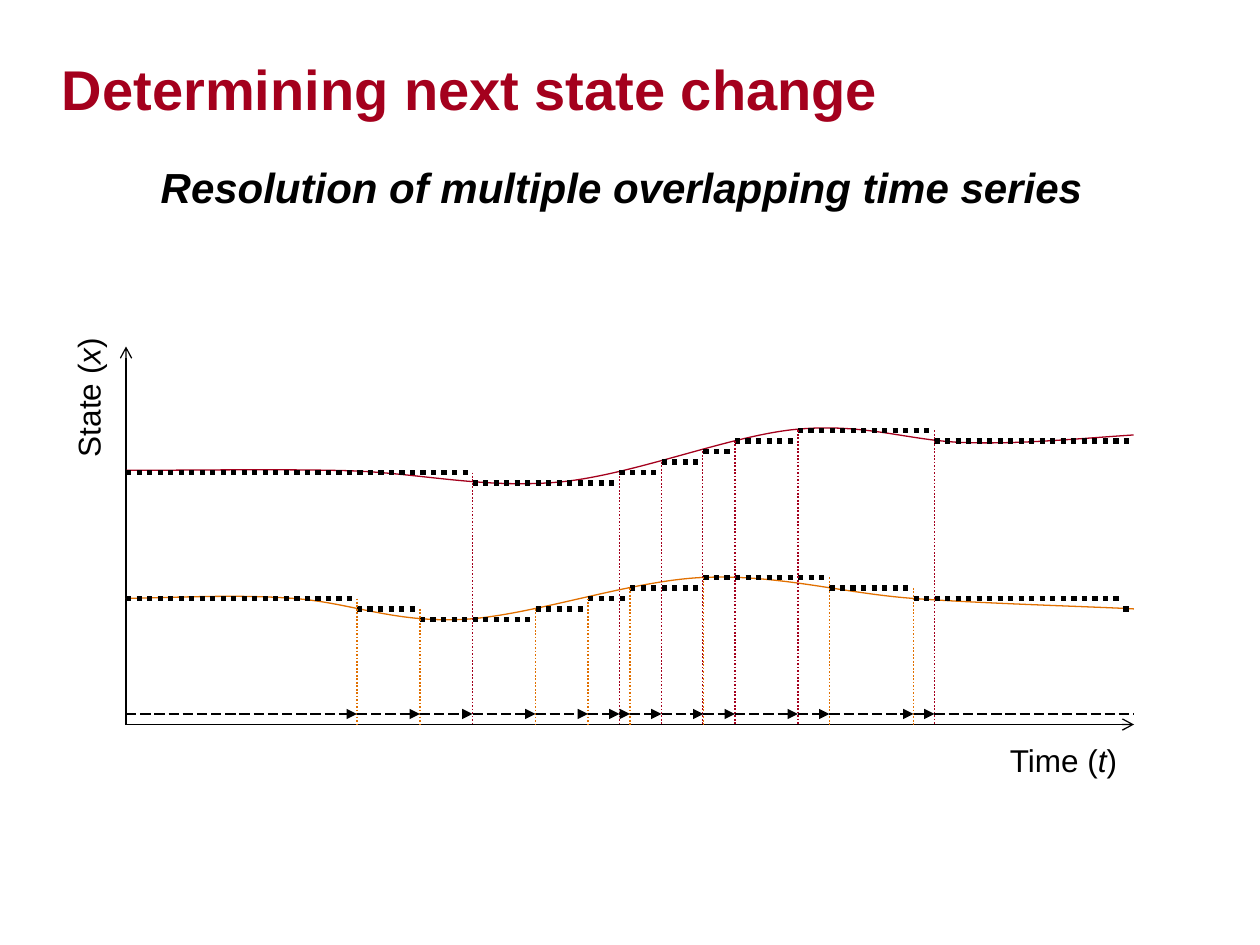
import pptx
import pptx.util
import pptx.dml.color
import pptx.enum.dml
import pptx.enum.shapes
import pptx.enum.text
import pptx.oxml.ns
from lxml import etree

PX = 7620  # EMU per px, 120 px to the inch
Pt = pptx.util.Pt
RGB = pptx.dml.color.RGBColor
DASH = pptx.enum.dml.MSO_LINE
ALIGN = pptx.enum.text.PP_ALIGN
ANCHOR = pptx.enum.text.MSO_ANCHOR
qn = pptx.oxml.ns.qn

RED = RGB(0xA4, 0x00, 0x1D)
ORANGE = RGB(0xE1, 0x70, 0x00)
BLACK = RGB(0, 0, 0)

LEFT, RIGHT, AXIS_TOP, AXIS_Y, EVENT_Y = 120, 1080, 330, 690, 680

# Quantised levels: (start x, y) of every step
RED_STEPS = [(120, 450), (450, 460), (590, 450), (630, 440), (670, 430),
             (700, 420), (760, 410), (890, 420)]
ORANGE_STEPS = [(120, 570), (340, 580), (400, 590), (510, 580), (560, 570),
                (600, 560), (670, 550), (790, 560), (870, 570), (1070, 580)]

# Bezier points shared by both series: a start, then three per segment
CURVE = [(120, 570), (173, 569), (227, 566), (280, 570),
         (334, 574), (374, 593), (440, 590),
         (505, 587), (599, 553), (670, 550),
         (742, 547), (802, 565), (870, 570),
         (938, 575), (1046, 578), (1080, 580)]


def place(sp, x, y, w, h):
    sp.left, sp.top, sp.width, sp.height = x * PX, y * PX, w * PX, h * PX


def add_run(p, text, size, color=BLACK, bold=False, italic=False):
    r = p.add_run()
    r.text = text
    f = r.font
    f.name, f.size, f.bold, f.italic = "Arial", Pt(size), bold, italic
    f.color.rgb = color


def clear_insets(tf):
    tf.margin_left = tf.margin_right = tf.margin_top = tf.margin_bottom = 0
    tf.auto_size = pptx.enum.text.MSO_AUTO_SIZE.NONE


def add_line(shapes, x1, y1, x2, y2, color, width, dash=None, head=None):
    c = shapes.add_connector(pptx.enum.shapes.MSO_CONNECTOR.STRAIGHT,
                             x1 * PX, y1 * PX, x2 * PX, y2 * PX)
    c.line.color.rgb = color
    c.line.width = Pt(width)
    if dash is not None:
        c.line.dash_style = dash
    ln = c.line._get_or_add_ln()
    etree.SubElement(ln, qn("a:round"))
    if head:
        etree.SubElement(ln, qn("a:tailEnd"), type=head)
    etree.SubElement(c._element.spPr, qn("a:effectLst"))


def add_curve(shapes, color, shift=0, rotation=0):
    points = [(x, y + shift) for x, y in CURVE]
    fb = shapes.build_freeform(*points[0], scale=PX)
    fb.add_line_segments(points[1:], close=False)
    sp = fb.convert_to_shape()
    # Regroup the straight segments, three by three, as Bezier segments
    segments = sp._element.findall(".//" + qn("a:lnTo"))
    for i in range(0, len(segments), 3):
        bezier = etree.SubElement(segments[i].getparent(), qn("a:cubicBezTo"))
        for segment in segments[i:i + 3]:
            bezier.append(segment[0])
            segment.getparent().remove(segment)
    sp.rotation = rotation
    sp.shadow.inherit = False
    sp.fill.background()
    sp.line.color.rgb = color
    sp.line.width = Pt(0.75)


def add_steps(s, steps):
    group = s.shapes.add_group_shape()
    ends = [x for x, _ in steps[1:]] + [RIGHT]
    for (x, y), end in zip(steps, ends):
        add_line(group.shapes, x, y, end, y, BLACK, 3, DASH.ROUND_DOT)


def find_changes(steps):
    """Time and upper level of each state change."""
    return [(x, min(before, y)) for (_, before), (x, y) in zip(steps, steps[1:])]


def add_drops(s, changes, color):
    for x, y in changes:
        add_line(s.shapes, x, y, x, AXIS_Y, color, 1, DASH.ROUND_DOT)


def add_axis_label(s, x, y, w, name, symbol, rotation=0):
    sp = s.shapes.add_textbox(x * PX, y * PX, w * PX, 48 * PX)
    sp.rotation = rotation
    tf = sp.text_frame
    tf.word_wrap = False
    tf.auto_size = pptx.enum.text.MSO_AUTO_SIZE.SHAPE_TO_FIT_TEXT
    p = tf.paragraphs[0]
    add_run(p, name + " (", 18)
    add_run(p, symbol, 18, italic=True)
    add_run(p, ")", 18)


def add_headings(s):
    title = s.shapes.title
    place(title, 59, 17, 1063, 99)
    tf = title.text_frame
    clear_insets(tf)
    tf.vertical_anchor = ANCHOR.BOTTOM
    p = tf.paragraphs[0]
    p.alignment = ALIGN.LEFT
    add_run(p, "Determining next state change", 32, RED, bold=True)

    body = s.placeholders[1]
    place(body, 60, 163, 1064, 665)
    tf = body.text_frame
    clear_insets(tf)
    p = tf.paragraphs[0]
    p.alignment = ALIGN.CENTER
    p.line_spacing = 0.8
    p.space_before, p.space_after = Pt(4.8), Pt(3)
    pPr = p._p.get_or_add_pPr()
    pPr.set("marL", str(45 * PX))
    pPr.set("indent", str(-45 * PX))
    etree.SubElement(pPr, qn("a:buNone"))
    add_run(p, "Resolution of multiple overlapping time series", 24,
            bold=True, italic=True)


def main():
    prs = pptx.Presentation()
    prs.slide_width, prs.slide_height = 1200 * PX, 900 * PX
    s = prs.slides.add_slide(prs.slide_layouts[1])
    add_headings(s)

    # Axes
    add_line(s.shapes, LEFT, AXIS_Y, RIGHT, AXIS_Y, BLACK, 0.75, head="arrow")
    add_line(s.shapes, LEFT, AXIS_Y, LEFT, AXIS_TOP, BLACK, 0.75, head="arrow")
    add_axis_label(s, 950, 700, 127, "Time", "t")
    add_axis_label(s, 15, 354, 138, "State", "x", rotation=270)

    # Time series and their levels
    add_curve(s.shapes, ORANGE)
    add_curve(s.shapes, RED, shift=-134, rotation=177.4)
    add_steps(s, RED_STEPS)
    add_steps(s, ORANGE_STEPS)

    # State changes; the last orange one has no drop line
    orange = find_changes(ORANGE_STEPS)[:-1]
    red = find_changes(RED_STEPS)
    add_drops(s, orange, ORANGE)
    shared = {x for x, _ in orange}
    add_drops(s, [(x - 1 if x in shared else x, y) for x, y in red], RED)

    # Merged event sequence
    start = LEFT
    for x in sorted({x for x, _ in orange + red}):
        add_line(s.shapes, start, EVENT_Y, x, EVENT_Y, BLACK, 0.75,
                 DASH.LONG_DASH, "triangle")
        start = x
    add_line(s.shapes, start, EVENT_Y, RIGHT, EVENT_Y, BLACK, 0.75,
             DASH.LONG_DASH)

    prs.save("out.pptx")


if __name__ == "__main__":
    main()
